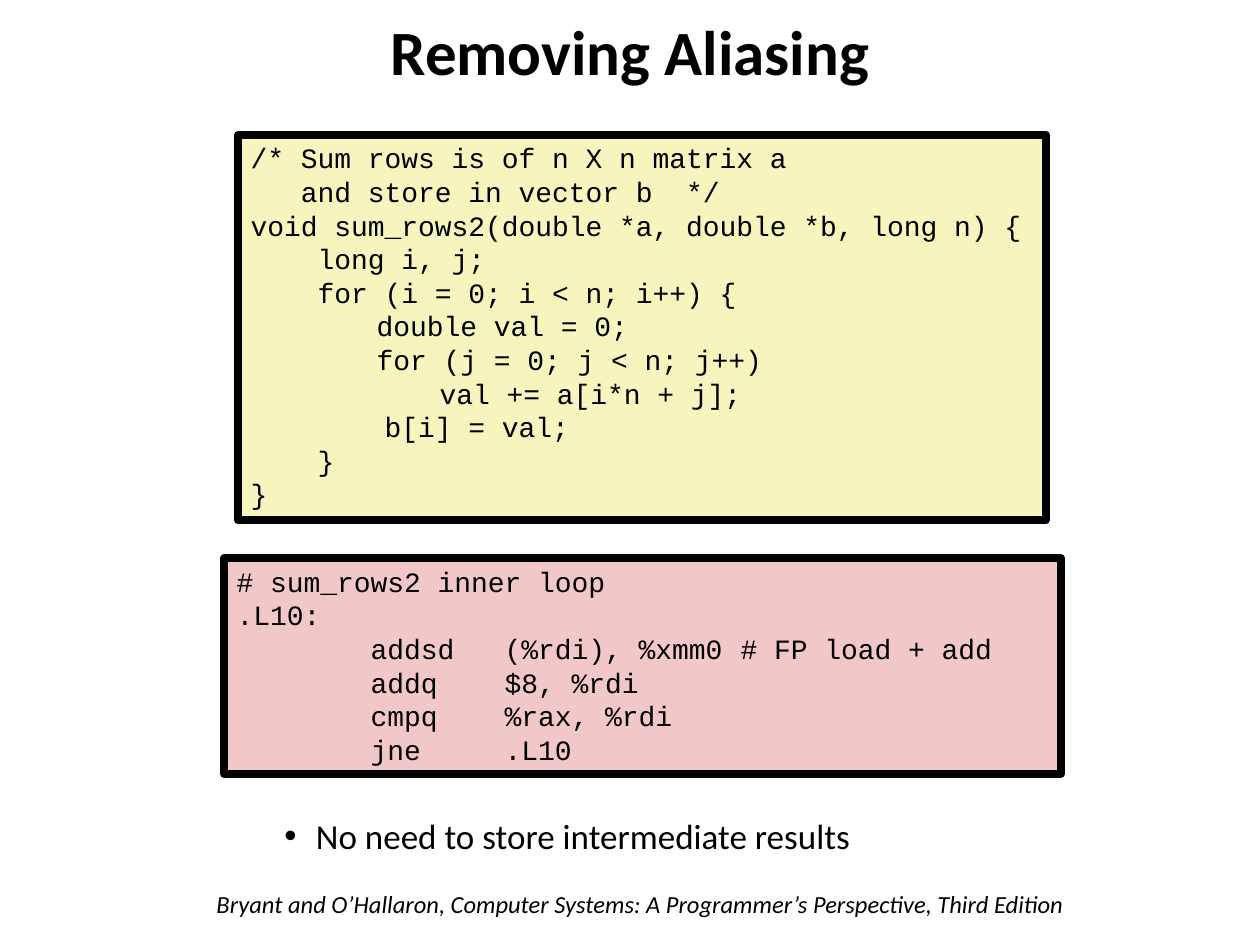
from lxml import etree
from pptx import Presentation
from pptx import util as u
from pptx.dml.color import RGBColor
from pptx.enum import shapes, text
from pptx.oxml.ns import qn

BLACK = RGBColor(0x00, 0x00, 0x00)
YELLOW = RGBColor(0xF6, 0xF5, 0xBD)
PINK = RGBColor(0xF1, 0xC7, 0xC7)

C_CODE = """/* Sum rows is of n X n matrix a
   and store in vector b  */
void sum_rows2(double *a, double *b, long n) {
    long i, j;
    for (i = 0; i < n; i++) {
\t\tdouble val = 0;
\t\tfor (j = 0; j < n; j++)
\t    \tval += a[i*n + j];
        b[i] = val;
    }
}"""
ASM_CODE = """# sum_rows2 inner loop
.L10:
        addsd   (%rdi), %xmm0\t# FP load + add
        addq    $8, %rdi
        cmpq    %rax, %rdi
        jne     .L10"""

prs = Presentation()
prs.slide_width, prs.slide_height = u.Inches(10), u.Inches(7.5)
s = prs.slides.add_slide(prs.slide_layouts[6])

# Grid of 100 columns by 75 rows
COL, ROW = prs.slide_width / 100, prs.slide_height / 75


def place(x, y, w, h):
    return int(x * COL), int(y * ROW), int(w * COL), int(h * ROW)


def add_text(box, words, size, bold=False, italic=False):
    tf = s.shapes.add_textbox(*place(*box)).text_frame
    tf.word_wrap = True
    p = tf.paragraphs[0]
    p.text = words
    f = p.runs[0].font
    f.name, f.size, f.bold, f.italic = "Calibri", u.Pt(size), bold, italic
    f.color.rgb = BLACK
    return tf


# Citation and title
add_text((16.2, 70.1, 71, 3.4),
         "Bryant and O’Hallaron, Computer Systems: A Programmer’s Perspective, Third Edition",
         14, italic=True)
tf = add_text((0, 0, 100, 8.8), "Removing Aliasing", 36, bold=True)
tf.vertical_anchor = text.MSO_ANCHOR.MIDDLE
tf.paragraphs[0].alignment = text.PP_ALIGN.CENTER
tf.paragraphs[0].line_spacing = 0.9

# Bullet
p = add_text((16.6, 64.5, 80, 5.9), "No need to store intermediate results", 20).paragraphs[0]
p.line_spacing = 0.9
pPr = p._p.get_or_add_pPr()
pPr.set("marL", str(u.Inches(0.75)))
pPr.set("indent", str(u.Inches(-0.25)))
etree.SubElement(pPr, qn("a:buFont")).set("typeface", "Arial")
etree.SubElement(pPr, qn("a:buChar")).set("char", "•")

# Code boxes, with tab stops every half inch
for code, box, fill, wrap in [
    (ASM_CODE, (17.8, 44.3, 66.4, 17.1), PINK, True),
    (C_CODE, (18.9, 10.7, 64.1, 30.6), YELLOW, False),
]:
    sp = s.shapes.add_shape(shapes.MSO_SHAPE.RECTANGLE, *place(*box))
    sp.shadow.inherit = False
    sp.fill.solid()
    sp.fill.fore_color.rgb = fill
    sp.line.color.rgb = BLACK
    sp.line.width = u.Pt(4.5)
    tf = sp.text_frame
    tf.word_wrap = wrap
    tf.vertical_anchor = text.MSO_ANCHOR.TOP
    tf.text = code
    for p in tf.paragraphs:
        p.alignment = text.PP_ALIGN.LEFT
        tabs = etree.SubElement(p._p.get_or_add_pPr(), qn("a:tabLst"))
        for n in range(1, 9):
            tab = etree.SubElement(tabs, qn("a:tab"))
            tab.set("pos", str(u.Inches(n / 2)))
            tab.set("algn", "l")
        for r in p.runs:
            r.font.name, r.font.size = "Courier New", u.Pt(16)
            r.font.color.rgb = BLACK

prs.save("out.pptx")
